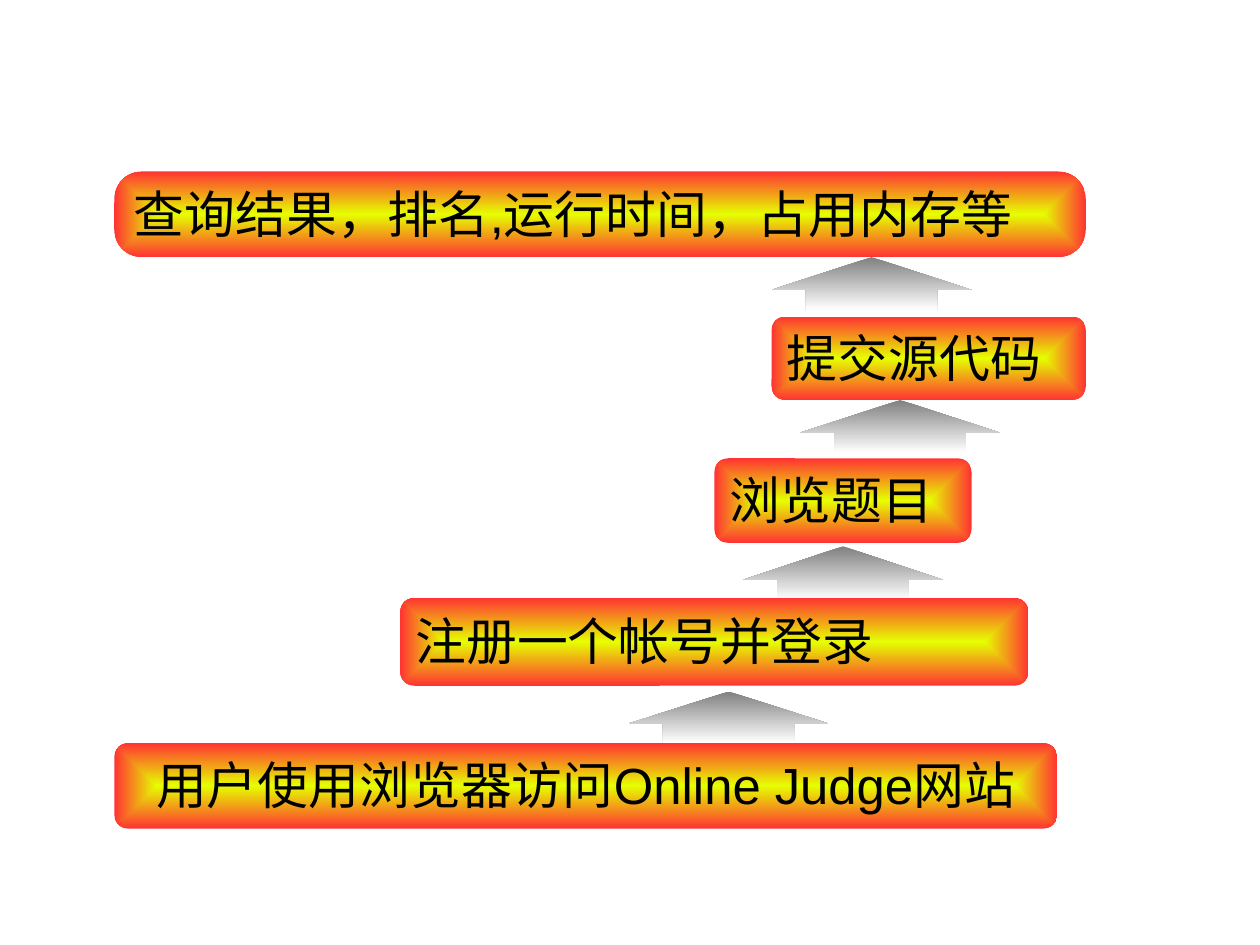
from lxml.etree import SubElement
from pptx import Presentation
from pptx.dml.color import RGBColor
from pptx.enum.shapes import MSO_SHAPE
from pptx.enum.text import MSO_ANCHOR, PP_ALIGN
from pptx.oxml.ns import qn
from pptx.util import Cm, Inches, Pt

STEPS = [
    ("用户使用浏览器访问Online Judge网站", (1, 6.5, 8.25, 0.75), 0.167, PP_ALIGN.CENTER),
    ("注册一个帐号并登录", (3.5, 5.23, 5.5, 0.77), 0.167, PP_ALIGN.LEFT),
    ("浏览题目", (6.25, 4.01, 2.25, 0.74), 0.167, PP_ALIGN.LEFT),
    ("提交源代码", (6.75, 2.77, 2.75, 0.73), 0.167, PP_ALIGN.LEFT),
    ("查询结果，排名,运行时间，占用内存等", (1, 1.5, 8.5, 0.75), 0.328, PP_ALIGN.LEFT),
]
ARROWS = [(5.5, 6.05, 0.45), (6.5, 4.78, 0.47), (7, 3.5, 0.46), (6.75, 2.25, 0.46)]
ARROW_WIDTH = 1.75
COLORS = {"text": "000000", "core": "E6FF00", "rim": "FF3333",
          "tip": "808080", "tail": "FFFFFF"}


def color(name):
    return RGBColor.from_string(COLORS[name])


def add_block(slide, kind, box, adjust, first, last):
    shape = slide.shapes.add_shape(kind, *map(Inches, box))
    shape.shadow.inherit = False
    shape.line.fill.background()
    for i, value in enumerate(adjust):
        shape.adjustments[i] = value
    shape.fill.gradient()
    shape.fill.gradient_angle = 270
    for stop, name, pos in zip(shape.fill.gradient_stops, (first, last), (0, 1)):
        stop.color.rgb = color(name)
        stop.position = pos
    return shape


def make_radial(shape):
    grad = shape.element.spPr.find(qn("a:gradFill"))
    grad.remove(grad.find(qn("a:lin")))
    center = SubElement(grad, qn("a:path"), {"path": "rect"})
    SubElement(center, qn("a:fillToRect"), dict.fromkeys("ltrb", "50000"))


def put_text(shape, text, size=32, font="Arial", ink="text", align=PP_ALIGN.LEFT):
    frame = shape.text_frame
    frame.word_wrap = True
    frame.vertical_anchor = MSO_ANCHOR.MIDDLE
    frame.margin_left = frame.margin_right = Inches(0.1)
    frame.margin_top, frame.margin_bottom = Inches(0.08), Inches(0.05)
    para = frame.paragraphs[0]
    para.alignment = align
    para.line_spacing = 0.93
    run = para.add_run()
    run.text = text
    run.font.size = Pt(size)
    run.font.name = font
    run.font.color.rgb = color(ink)


def main():
    deck = Presentation()
    deck.slide_width, deck.slide_height = Cm(28), Cm(21)
    slide = deck.slides.add_slide(deck.slide_layouts[6])
    for left, top, height in ARROWS:
        add_block(slide, MSO_SHAPE.UP_ARROW, (left, top, ARROW_WIDTH, height),
                  (0.657, 0.624), "tip", "tail")
    for text, box, radius, align in STEPS:
        step = add_block(slide, MSO_SHAPE.ROUNDED_RECTANGLE, box, (radius,), "core", "rim")
        make_radial(step)
        put_text(step, text, align=align)
    deck.save("out.pptx")


if __name__ == "__main__":
    main()
